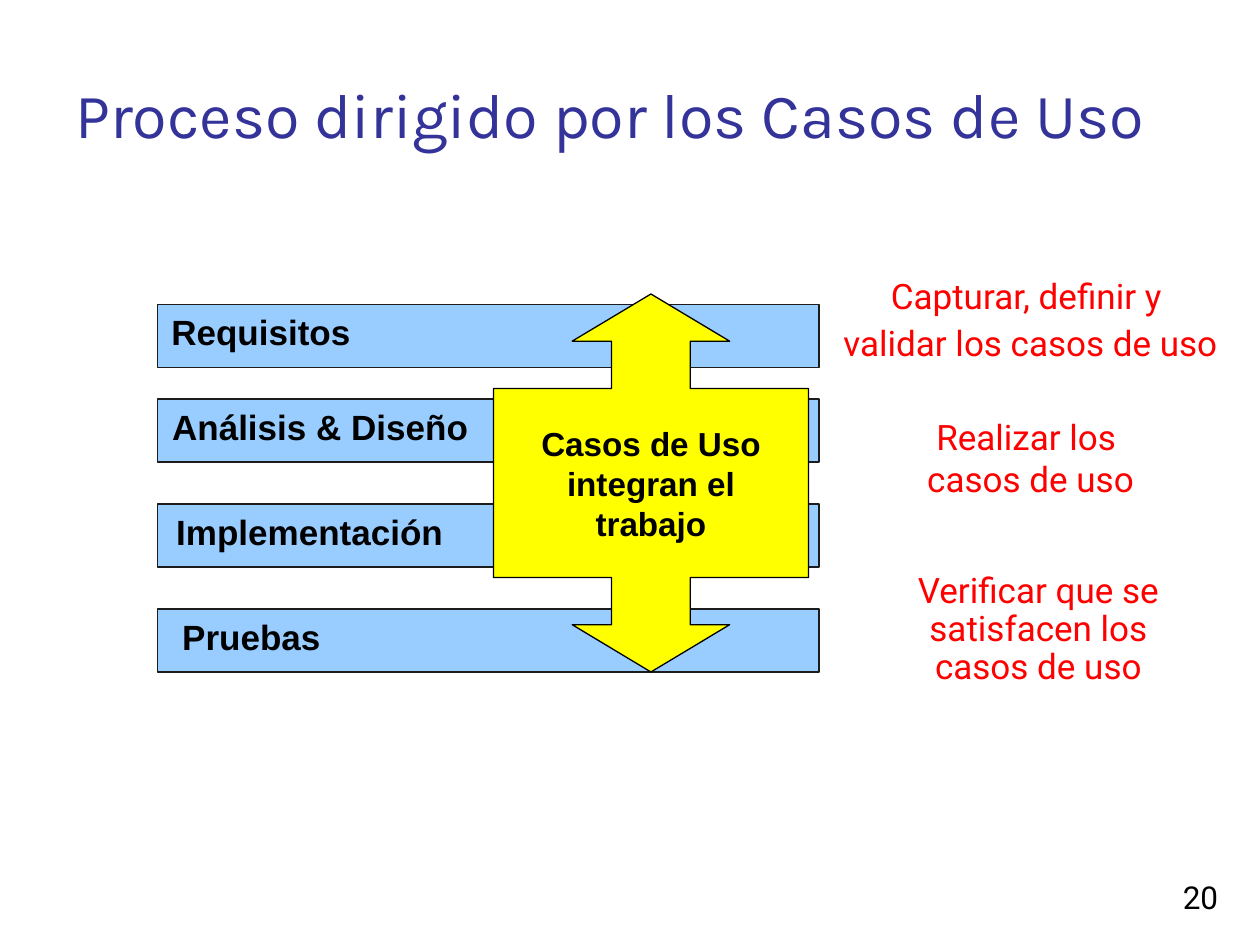
"""Build the slide on a use-case driven process."""
from pptx import Presentation
from pptx.dml.color import RGBColor
from pptx.enum.shapes import MSO_SHAPE
from pptx.enum.text import MSO_ANCHOR, PP_ALIGN
from pptx.util import Inches, Pt

LEFT, CENTER, RIGHT = PP_ALIGN.LEFT, PP_ALIGN.CENTER, PP_ALIGN.RIGHT
TOP, MIDDLE, BOTTOM = MSO_ANCHOR.TOP, MSO_ANCHOR.MIDDLE, MSO_ANCHOR.BOTTOM
RECTANGLE, ARROW_CALLOUT = MSO_SHAPE.RECTANGLE, MSO_SHAPE.UP_DOWN_ARROW_CALLOUT
COLORS = {
    "title": "333399", "bar": "99CCFF", "bar_line": "1C1C1C",
    "arrow": "FFFF00", "note": "FF0000", "black": "000000",
}
GRID = Inches(10) // 120


def place(left, top, width, height, kind=None, fill=None, line=None):
    box = [round(value * GRID) for value in (left, top, width, height)]
    if kind is None:
        return slide.shapes.add_textbox(*box)
    shape = slide.shapes.add_shape(kind, *box)
    shape.shadow.inherit = False
    shape.fill.solid()
    shape.fill.fore_color.rgb = RGBColor.from_string(COLORS[fill])
    shape.line.color.rgb = RGBColor.from_string(COLORS[line])
    shape.line.width = Pt(0.75)
    return shape


def write(shape, text, size, font, color, align=CENTER, anchor=TOP, bold=False, spacings=(1,), before=0):
    frame = shape.text_frame
    frame.text = text
    frame.word_wrap = True
    frame.vertical_anchor = anchor
    for index, paragraph in enumerate(frame.paragraphs):
        paragraph.alignment = align
        paragraph.line_spacing = spacings[index % len(spacings)]
        paragraph.space_before = Pt(before)
        for run in paragraph.runs:
            run.font.size = Pt(size)
            run.font.name = font
            run.font.bold = bold
            run.font.color.rgb = RGBColor.from_string(COLORS[color])


presentation = Presentation()
presentation.slide_width = 120 * GRID
presentation.slide_height = 90 * GRID
slide = presentation.slides.add_slide(presentation.slide_layouts[6])

title = place(6, 0.8, 108, 14.2)
write(title, "Proceso dirigido por los Casos de Uso", 36, "Karla", "title", LEFT, BOTTOM, spacings=(1.06,))

workflows = [
    ("Requisitos", 29, 14, 21.7),
    ("Análisis & Diseño", 38, 8, 45),
    ("Implementación", 48, 15, 29),
    ("Pruebas", 58, 14, 19.9),
]
for name, row, column, width in workflows:
    place(15, row, 63, 6, RECTANGLE, "bar", "bar_line")
    label = place(column, row, width, 5.2)
    write(label, name, 20, "Arial", "black", bold=True)

notes = [
    ("Capturar, definir y \nvalidar los casos de uso", 79, 27, 38.3, 10.5, (0.6,)),
    ("Realizar los \ncasos de uso", 79, 39, 38.3, 8.9, (1, 0.4)),
    ("Verificar que se satisfacen los casos de uso", 83, 54, 31.8, 12, (0.9,)),
]
for text, column, row, width, height, spacings in notes:
    note = place(column, row, width, height)
    write(note, text, 20, "Roboto", "note", spacings=spacings, before=12.5)

arrow = place(47, 28, 30, 36, ARROW_CALLOUT, "arrow", "black")
for index, share in enumerate((0.25, 0.25, 0.15, 0.5)):
    arrow.adjustments[index] = share
write(arrow, "Casos de Uso\nintegran el\ntrabajo", 19, "Arial", "black", anchor=MIDDLE, bold=True)

page_number = place(92.4, 82, 24.8, 5.9)
write(page_number, "20", 18, "Roboto", "black", RIGHT, BOTTOM, spacings=(0.96,))

presentation.save("out.pptx")
